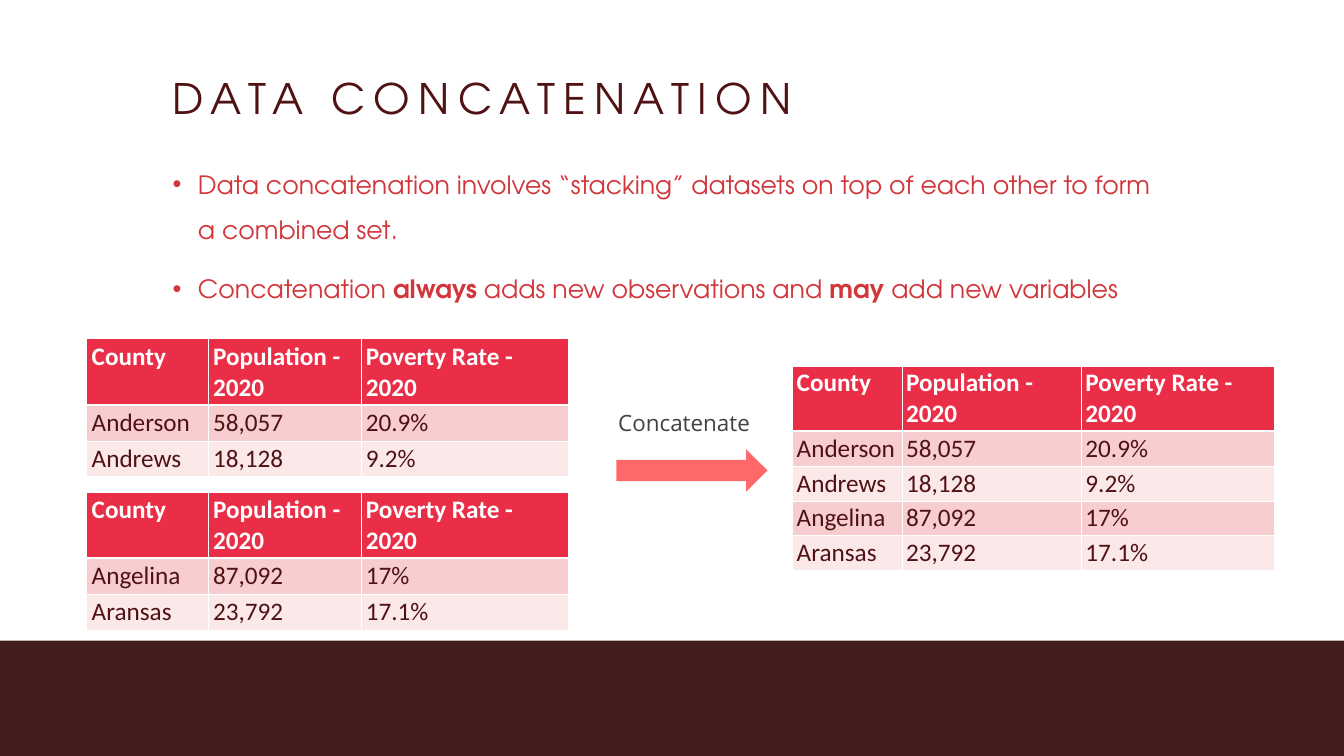
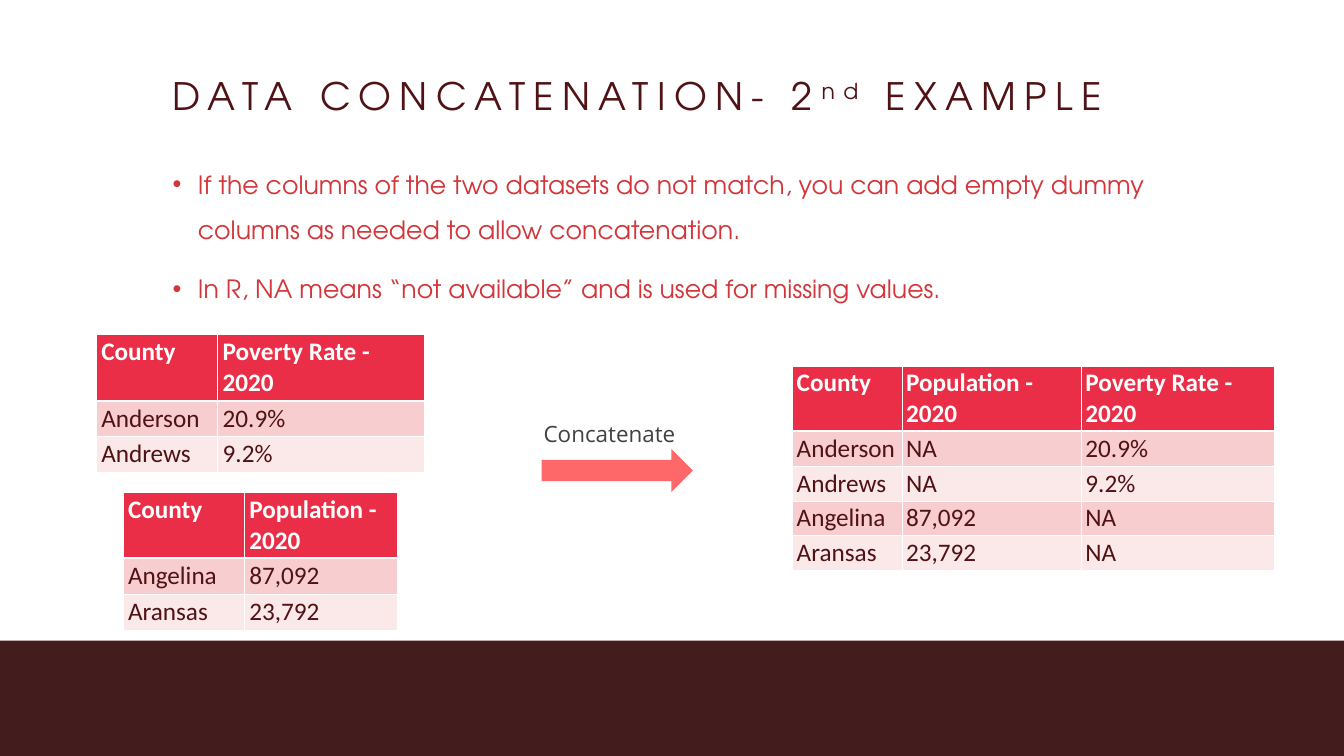
from lxml.etree import SubElement
from pptx import Presentation
from pptx.dml.color import RGBColor
from pptx.enum.shapes import MSO_SHAPE as Shape
from pptx.enum.text import MSO_ANCHOR as Anchor, PP_ALIGN as Align
from pptx.oxml.ns import qn
from pptx.util import Emu, Pt

PX = 9144  # 100 px to the inch
WIDE, HIGH = 2667, 1500

WHITE, DARK, BAND = "FFFFFF", "501214", "431C1D"
RED, HEAD, ARROW, GREY = "D2353A", "EB2E47", "FE6869", "414141"
STRIPES = "F7CDCF", "FBE8E9"
SANS, CELL, LABEL = "TeX Gyre Adventor", "Calibri", "Open Sans"

COUNTY, POP, RATE = "County", "Population - 2020", "Poverty Rate - 2020"
LEFT = {COUNTY: 241, POP: 303, RATE: 411}
RIGHT = {COUNTY: 217, POP: 356, RATE: 382}
UPPER = [
    {COUNTY: "Anderson", POP: "58,057", RATE: "20.9%"},
    {COUNTY: "Andrews", POP: "18,128", RATE: "9.2%"},
]
LOWER = [
    {COUNTY: "Angelina", POP: "87,092", RATE: "17%"},
    {COUNTY: "Aransas", POP: "23,792", RATE: "17.1%"},
]


def color(code):
    return RGBColor.from_string(code)


def px(*sizes):
    return [Emu(size * PX) for size in sizes]


def style(par, name, size, code, bold=False):
    font = par.font
    font.name, font.size, font.bold = name, Pt(size), bold
    font.color.rgb = color(code)


def textbox(slide, box, anchor=Anchor.TOP):
    frame = slide.shapes.add_textbox(*px(*box)).text_frame
    frame.word_wrap = True
    frame.vertical_anchor = anchor
    return frame


def block(slide, kind, box, code):
    shape = slide.shapes.add_shape(kind, *px(*box))
    shape.shadow.inherit = False
    shape.fill.solid()
    shape.fill.fore_color.rgb = color(code)
    shape.line.fill.background()


def title(slide, parts, size):
    """Write the title; every second part is raised."""
    par = textbox(slide, (333, 150, 2000, 125)).paragraphs[0]
    par.line_spacing = 0.9
    style(par, SANS, size, DARK)
    for i, part in enumerate(parts):
        run = par.add_run()
        run.text = part
        props = run.font._element
        props.set("spc", "1200")
        if i % 2:
            props.set("baseline", "30000")


def bullets(slide, items):
    """Write a list; every second part of an item is bold."""
    frame = textbox(slide, (333, 300, 2000, 811))
    for i, parts in enumerate(items):
        par = frame.add_paragraph() if i else frame.paragraphs[0]
        par.line_spacing, par.space_before = 1.5, Pt(20)
        props = par._p.get_or_add_pPr()
        props.set("marL", str(50 * PX))
        props.set("indent", str(-50 * PX))
        SubElement(props, qn("a:buFont"), typeface="Arial")
        SubElement(props, qn("a:buChar"), char="•")
        style(par, SANS, 36, RED)
        for j, part in enumerate(parts):
            run = par.add_run()
            run.text = part
            if j % 2:
                run.font.bold = True


def borders(cell, top, bottom):
    props = cell._tc.get_or_add_tcPr()
    for side, width in zip("LRTB", (1, 1, top, bottom)):
        line = SubElement(props, qn(f"a:ln{side}"), w=str(Pt(width)))
        fill = SubElement(line, qn("a:solidFill"))
        SubElement(fill, qn("a:srgbClr"), val=WHITE)


def table(slide, x, y, widths, rows, pad=10):
    """Show the rows under the columns in widths, with NA for gaps."""
    lines = [list(widths)]
    lines += [[row.get(col, "NA") for col in widths] for row in rows]
    heights = [122 + pad] + [61 + pad] * len(rows)
    grid = slide.shapes.add_table(
        len(lines), len(widths),
        *px(x, y, sum(widths.values()), sum(heights))).table
    grid.horz_banding = False
    for col, width in zip(grid.columns, px(*widths.values())):
        col.width = width
    for r, (line, height) in enumerate(zip(lines, px(*heights))):
        grid.rows[r].height = height
        for c, text in enumerate(line):
            cell = grid.cell(r, c)
            cell.margin_left = cell.margin_right = Emu(pad * PX)
            cell.margin_top = cell.margin_bottom = Emu(pad * PX // 2)
            borders(cell, 3 if r == 1 else 1, 1 if r else 3)
            cell.fill.solid()
            cell.fill.fore_color.rgb = color(STRIPES[(r - 1) % 2] if r else HEAD)
            cell.text = text
            style(cell.text_frame.paragraphs[0], CELL, 36,
                  DARK if r else WHITE, bold=not r)


def step(slide, x, y):
    """Draw the arrow at x, with its label at y."""
    block(slide, Shape.RIGHT_ARROW, (x, 891, 300, 85), ARROW)
    par = textbox(slide, (x - 60, y, 389, 64), Anchor.MIDDLE).paragraphs[0]
    par.text = "Concatenate"
    par.alignment = Align.CENTER
    style(par, LABEL, 32, GREY)


def page(deck, heading, size, items):
    slide = deck.slides.add_slide(deck.slide_layouts[6])
    block(slide, Shape.RECTANGLE, (0, 1271, WIDE, 240), BAND)
    title(slide, heading, size)
    bullets(slide, items)
    return slide


def only(rows, *cols):
    return [{col: row[col] for col in cols} for row in rows]


def same(deck):
    """Stack two tables with the same columns."""
    slide = page(deck, ["DATA CONCATENATION"], 60, [
        ["Data concatenation involves “stacking” datasets on top of each "
         "other to form a combined set."],
        ["Concatenation ", "always", " adds new observations and ", "may",
         " add new variables"],
    ])
    table(slide, 172, 976, LEFT, LOWER)
    table(slide, 172, 672, LEFT, UPPER)
    step(slide, 1223, 807)
    table(slide, 1573, 726, RIGHT, UPPER + LOWER, pad=8)


def mixed(deck):
    """Stack two tables with different columns."""
    slide = page(deck, ["DATA CONCATENATION- 2", "nd", " EXAMPLE"], 54, [
        ["If the columns of the two datasets do not match, you can add empty "
         "dummy columns as needed to allow concatenation."],
        ["In R, NA means “not available” and is used for missing values."],
    ])
    upper, lower = only(UPPER, COUNTY, RATE), only(LOWER, COUNTY, POP)
    table(slide, 244, 976, {col: LEFT[col] for col in (COUNTY, POP)}, lower)
    table(slide, 191, 663, {col: LEFT[col] for col in (COUNTY, RATE)}, upper)
    step(slide, 1075, 828)
    table(slide, 1573, 726, RIGHT, upper + lower, pad=8)


def main():
    deck = Presentation()
    deck.slide_width, deck.slide_height = px(WIDE, HIGH)
    same(deck)
    mixed(deck)
    deck.save("out.pptx")


if __name__ == "__main__":
    main()
